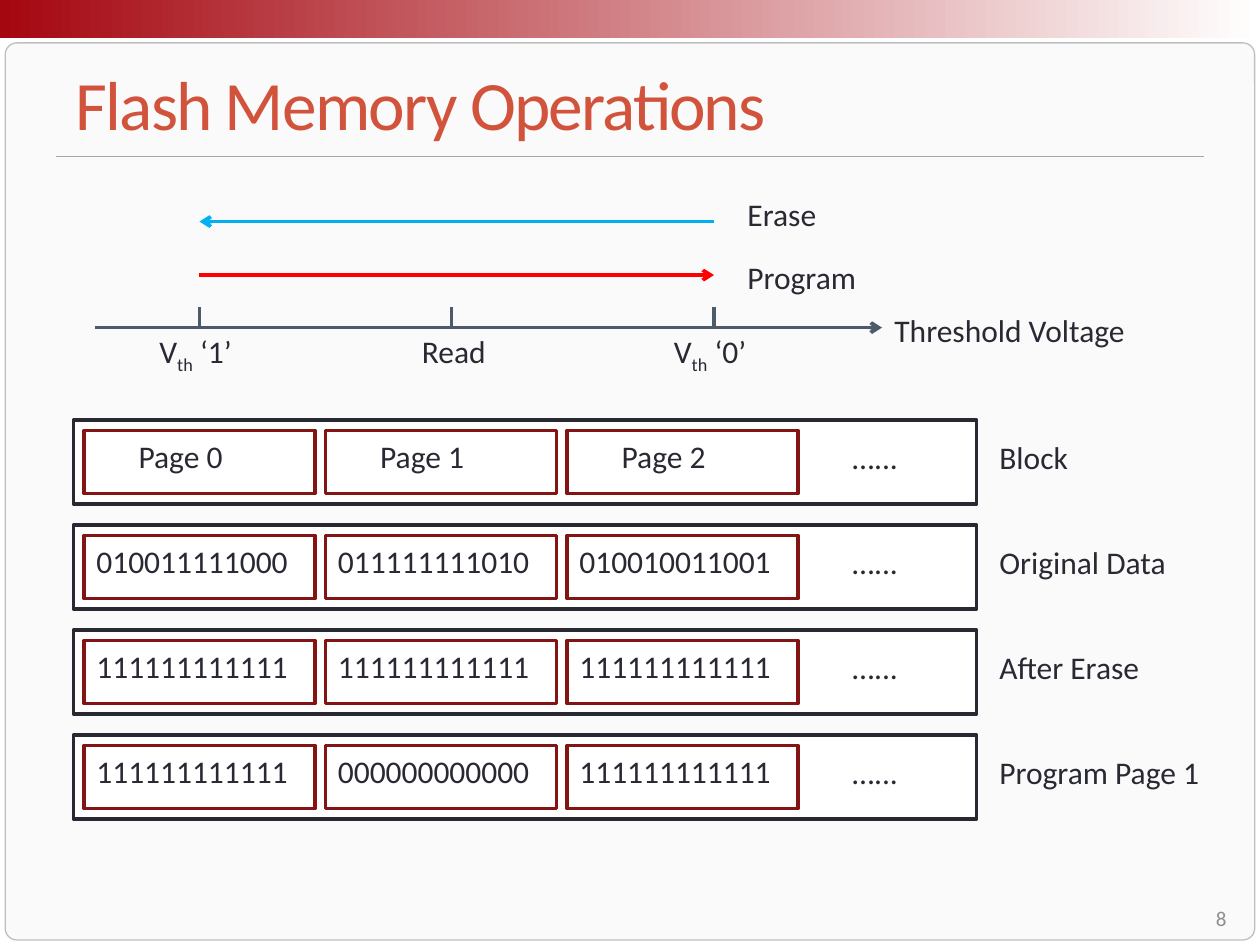
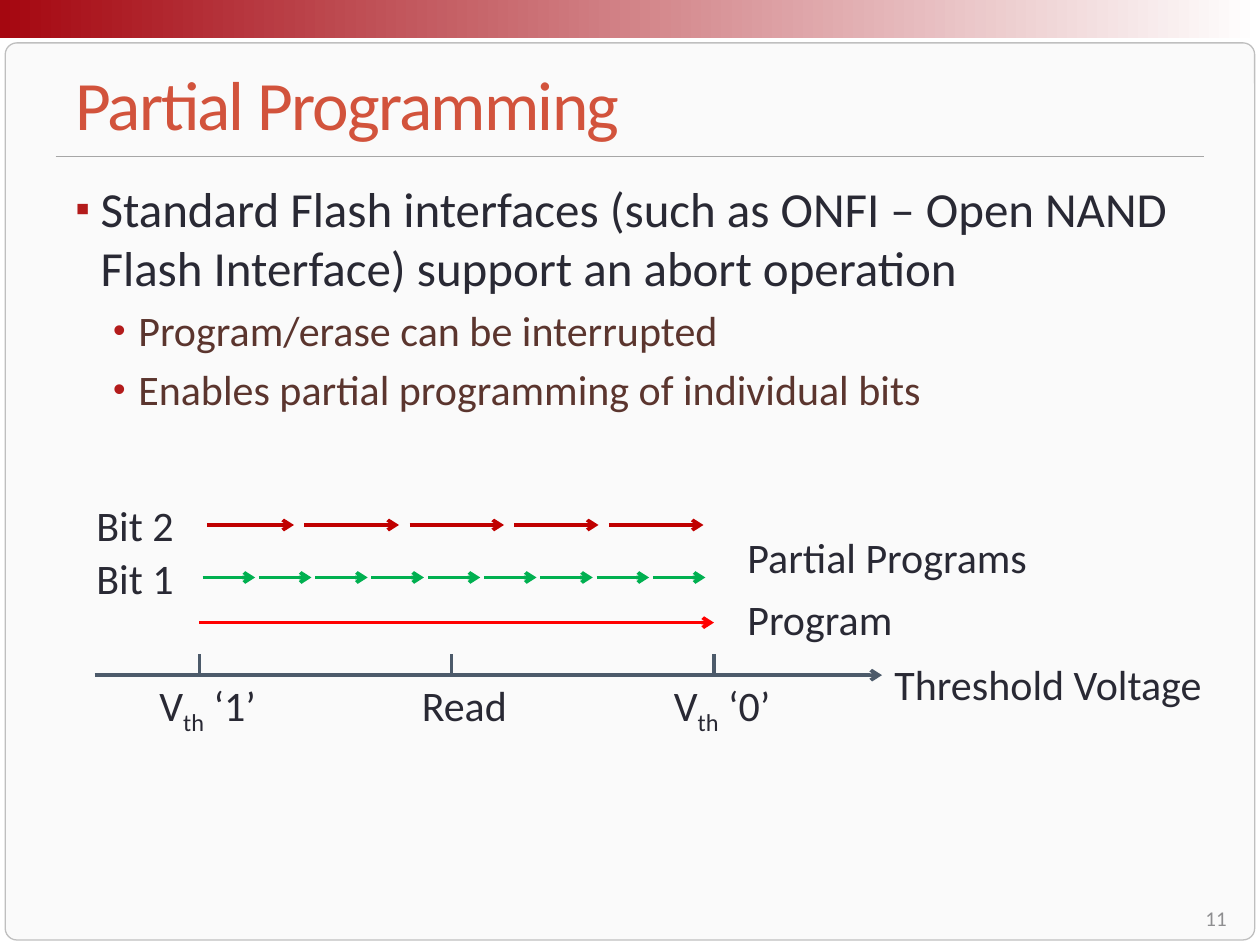
from dataclasses import dataclass
from typing import NamedTuple

from lxml import etree
from pptx import Presentation, util as u
from pptx.dml.color import RGBColor
from pptx.enum import shapes, text
from pptx.oxml.ns import qn

# Grid: 120 columns by 90 rows, each cell a twelfth of an inch
COLUMNS, ROWS = 120, 90
CELL = u.Inches(10) // COLUMNS

FONT = "Calibri"
INK = "292934"
TITLE_RED = "D2533C"
BAND_RED = "A50710"
BULLET_RED = "B31B1B"
BROWN = "5B352E"
PAGE_BORDER = "841414"
AXIS_GREY = "4C5A6A"
RULE_GREY = "A6A6A6"
CARD_FILL = "FAFAFA"
CARD_BORDER = "BFBFBF"
NUMBER_GREY = "8E8E90"
WHITE = "FFFFFF"
ERASE_BLUE = "00B0F0"
PROGRAM_RED = "FF0000"
BIT_1_GREEN = "00B050"
BIT_2_RED = "C00000"

LINE_WIDTH = 2.08
# Columns of the threshold axis
VTH_1, READ, VTH_0 = 19, 43, 68


class Box(NamedTuple):
    left: float
    top: float
    width: float
    height: float


class Piece(NamedTuple):
    words: str
    subscript: bool = False


@dataclass
class Style:
    size: float = 18
    color: str = INK
    align: text.PP_ALIGN = text.PP_ALIGN.LEFT
    anchor: text.MSO_ANCHOR = text.MSO_ANCHOR.TOP
    spacing: int = 0  # hundredths of a point


@dataclass
class BlockRow:
    label: str
    pages: tuple[str, str, str]
    indent: float = 0  # extra columns before the page text


@dataclass
class Bullet:
    words: str
    mark: str
    indent: float  # inches
    style: Style
    before: float = 0


def rgb(color: str) -> RGBColor:
    return RGBColor.from_string(color)


def cells(count: float) -> int:
    return round(count * CELL)


def add_run(paragraph, piece: Piece, style: Style) -> None:
    run = paragraph.add_run()
    run.text = piece.words
    run.font.name = FONT
    run.font.size = u.Pt(style.size)
    run.font.color.rgb = rgb(style.color)
    properties = run._r.get_or_add_rPr()
    if piece.subscript:
        properties.set("baseline", "-25000")
    if style.spacing:
        properties.set("spc", str(style.spacing))


def write(frame, pieces: list[Piece], style: Style) -> None:
    frame.word_wrap = True
    frame.vertical_anchor = style.anchor
    paragraph = frame.paragraphs[0]
    paragraph.alignment = style.align
    for piece in pieces:
        add_run(paragraph, piece, style)


def add_text(slide, box: Box, pieces: list[Piece], style: Style) -> None:
    shape = slide.shapes.add_textbox(*map(cells, box))
    write(shape.text_frame, pieces, style)


def add_label(slide, left: float, top: float, width: float,
              words: str | list[Piece], size: float = 18) -> None:
    pieces = [Piece(words)] if isinstance(words, str) else words
    height = size / 4.8 + 1.1
    add_text(slide, Box(left, top, width, height), pieces, Style(size))


def add_panel(slide, box: Box, fill: str, border: str | None = None,
              width: float = LINE_WIDTH,
              kind=shapes.MSO_SHAPE.RECTANGLE):
    shape = slide.shapes.add_shape(kind, *map(cells, box))
    shape.shadow.inherit = False
    shape.fill.solid()
    shape.fill.fore_color.rgb = rgb(fill)
    if border:
        shape.line.color.rgb = rgb(border)
        shape.line.width = u.Pt(width)
    else:
        shape.line.fill.background()
    return shape


def add_line(slide, start: tuple[float, float], end: tuple[float, float],
             color: str, width: float = LINE_WIDTH,
             arrow: bool = False) -> None:
    line = slide.shapes.add_connector(
        shapes.MSO_CONNECTOR.STRAIGHT, *map(cells, start + end))
    line.line.color.rgb = rgb(color)
    line.line.width = u.Pt(width)
    properties = line._element.spPr
    if arrow:
        outline = properties.find(qn("a:ln"))
        etree.SubElement(outline, qn("a:tailEnd"), type="arrow")
    etree.SubElement(properties, qn("a:effectLst"))


def add_arrow(slide, start: float, end: float, row: float, color: str) -> None:
    add_line(slide, (start, row), (end, row), color, arrow=True)


def new_slide(presentation, title: str, number: int):
    """Start a slide with the card, band, title, rule and page number."""
    slide = presentation.slides.add_slide(presentation.slide_layouts[6])
    card = add_panel(slide, Box(0.5, 4.08, 119, 85.44), CARD_FILL, CARD_BORDER,
                     0.75, shapes.MSO_SHAPE.ROUNDED_RECTANGLE)
    card.adjustments[0] = 0.013
    band = add_panel(slide, Box(0, 0, COLUMNS, 3.6), WHITE)
    band.fill.gradient()
    band.fill.gradient_angle = 0
    for stop, color in zip(band.fill.gradient_stops, (BAND_RED, WHITE)):
        stop.color.rgb = rgb(color)
    add_line(slide, (5.3, 14.9), (114.7, 14.9), RULE_GREY, 0.75)
    middle = text.MSO_ANCHOR.MIDDLE
    add_text(slide, Box(6, 5, 108, 9.6), [Piece(title)],
             Style(39.6, TITLE_RED, anchor=middle, spacing=-100))
    add_text(slide, Box(90, 86, 28, 2.8), [Piece(str(number))],
             Style(12, NUMBER_GREY, text.PP_ALIGN.RIGHT, middle))
    return slide


def add_voltage_axis(slide, row: float, size: float,
                     program_label_row: float) -> None:
    """Draw the axis, its ticks and labels, and the program arrow."""
    add_arrow(slide, 9, 84, row, AXIS_GREY)
    ticks = (
        (VTH_1, 14, [Piece("V"), Piece("th", True), Piece(" ‘1’")]),
        (READ, 39, [Piece("Read")]),
        (VTH_0, 63, [Piece("V"), Piece("th", True), Piece(" ‘0’")]),
    )
    for column, label_left, pieces in ticks:
        add_line(slide, (column, row), (column, row - 2), AXIS_GREY)
        add_label(slide, label_left, row - 0.2, 13, pieces, size)
    add_label(slide, 84, row - 2.2, 34, "Threshold Voltage", size)
    add_arrow(slide, VTH_1, VTH_0, row - 5, PROGRAM_RED)
    add_label(slide, 70, program_label_row, 30, "Program", size)


def add_block(slide, top: float, block: BlockRow) -> None:
    """Draw one memory block with its pages, dots and label."""
    add_panel(slide, Box(7, top, 86, 8), WHITE, INK)
    for index, words in enumerate(block.pages):
        page = add_panel(slide, Box(8 + 23 * index, top + 1, 22, 6),
                         WHITE, PAGE_BORDER)
        page.text_frame.margin_left = u.Inches(0.1) + cells(block.indent)
        write(page.text_frame, [Piece(words)], Style())
    add_label(slide, 80, top + 1.15, 13, "…...")
    add_label(slide, 94, top + 1.1, 23, block.label)


def add_bullets(slide, box: Box, bullets: list[Bullet]) -> None:
    frame = slide.shapes.add_textbox(*map(cells, box)).text_frame
    frame.word_wrap = True
    for index, bullet in enumerate(bullets):
        paragraph = frame.add_paragraph() if index else frame.paragraphs[0]
        properties = paragraph._p.get_or_add_pPr()
        properties.set("marL", str(u.Inches(bullet.indent)))
        properties.set("indent", str(-u.Inches(0.2)))
        color = etree.SubElement(properties, qn("a:buClr"))
        etree.SubElement(color, qn("a:srgbClr"), val=BULLET_RED)
        etree.SubElement(properties, qn("a:buSzPct"), val="85000")
        etree.SubElement(properties, qn("a:buFont"), typeface="Arial")
        etree.SubElement(properties, qn("a:buChar"), char=bullet.mark)
        if bullet.before:
            paragraph.space_before = u.Pt(bullet.before)
        add_run(paragraph, Piece(bullet.words), bullet.style)


def build_operations(presentation) -> None:
    slide = new_slide(presentation, "Flash Memory Operations", 8)
    add_voltage_axis(slide, 31.2, 18, 24)
    add_arrow(slide, VTH_0, VTH_1, 21.1, ERASE_BLUE)
    add_label(slide, 70, 18, 10, "Erase")

    # Memory blocks, one every ten rows
    erased = "1" * 12
    blocks = [
        BlockRow("Block", ("Page 0", "Page 1", "Page 2"), indent=4),
        BlockRow("Original Data",
                 ("010011111000", "011111111010", "010010011001")),
        BlockRow("After Erase", (erased, erased, erased)),
        BlockRow("Program Page 1", (erased, "0" * 12, erased)),
    ]
    for index, block in enumerate(blocks):
        add_block(slide, 40 + 10 * index, block)


def build_partial_programming(presentation) -> None:
    slide = new_slide(presentation, "Partial Programming", 11)
    detail = Style(24, BROWN)
    add_bullets(slide, Box(6, 16.44, 108, 24), [
        Bullet("Standard Flash interfaces (such as ONFI – Open NAND Flash "
               "Interface) support an abort operation", "▪", 0.2, Style(28)),
        Bullet("Program/erase can be interrupted", "•", 0.5, detail, 4.8),
        Bullet("Enables partial programming of individual bits", "•", 0.5,
               detail, 4.8),
    ])
    add_voltage_axis(slide, 64.3, 24, 55.9)

    # Partial programs: uneven steps for bit 2, equal steps for bit 1
    for start, end in ((19.7, 28), (29, 38), (39, 48), (49, 57), (58, 67)):
        add_arrow(slide, start, end, 50, BIT_2_RED)
    for index in range(9):
        start = 19.3 + 5.36 * index
        add_arrow(slide, start, start + 5, 55, BIT_1_GREEN)
    add_label(slide, 8, 47, 13, "Bit 2", 24)
    add_label(slide, 8, 52, 13, "Bit 1", 24)
    add_label(slide, 70, 50, 37, "Partial Programs", 24)


def main() -> None:
    presentation = Presentation()
    presentation.slide_width = CELL * COLUMNS
    presentation.slide_height = CELL * ROWS
    build_operations(presentation)
    build_partial_programming(presentation)
    presentation.save("out.pptx")


if __name__ == "__main__":
    main()
